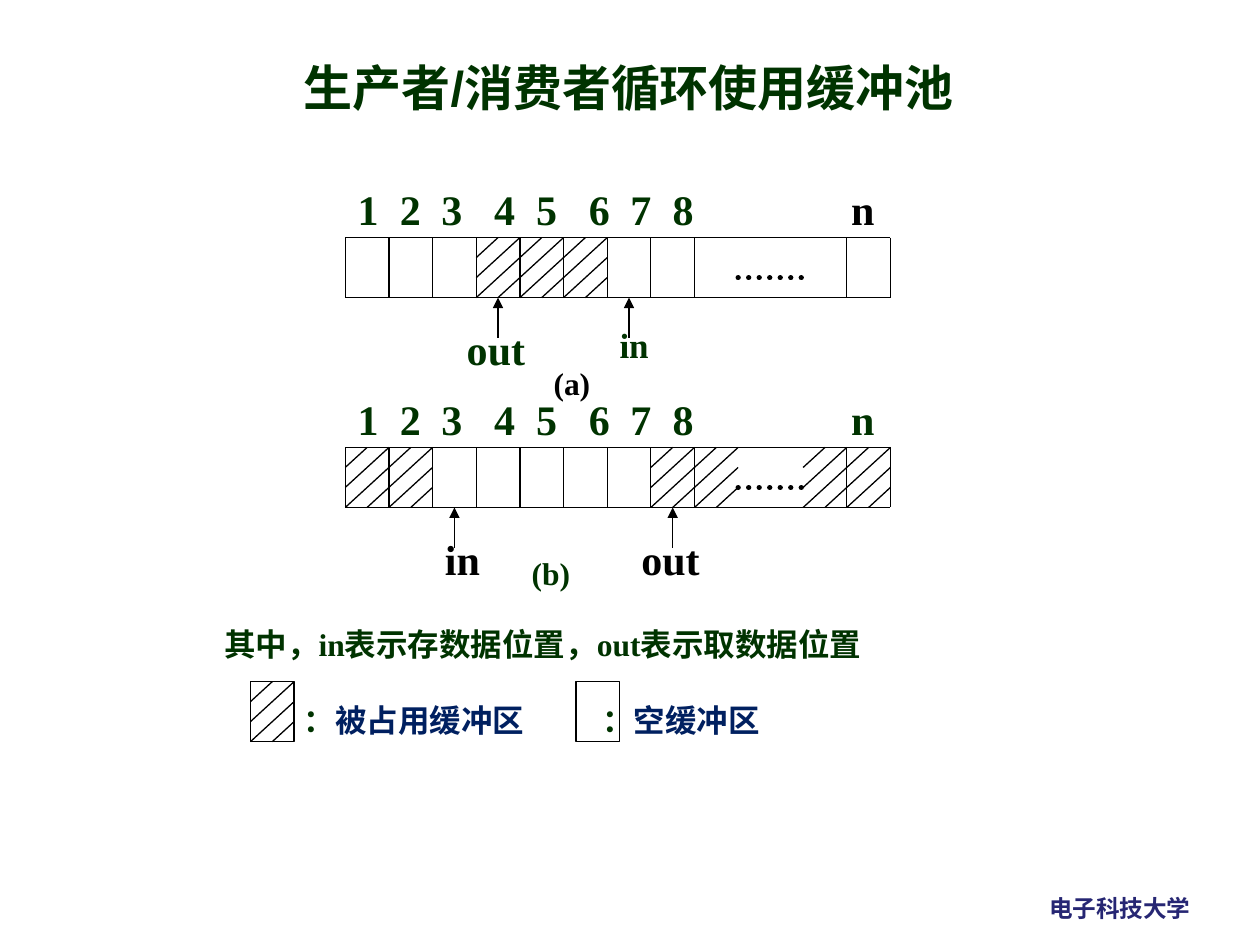
from typing import NamedTuple

import pptx
import pptx.dml.color
import pptx.enum.dml
import pptx.enum.shapes
import pptx.enum.text
import pptx.oxml.ns
import pptx.util
from lxml import etree

Cm, Pt = pptx.util.Cm, pptx.util.Pt
qn = pptx.oxml.ns.qn

GREEN, BLACK, NAVY = "003300", "000000", "002060"
ROMAN, SANS, HAN = "Times New Roman", "Arial", "Noto Sans CJK SC"
LEFT, WIDE, TALL = 6.96, 0.88, 1.21
LAST, DOTS = 17.07, 0.81
STOPS = (0.85, 1.69, 2.75, 3.6, 4.66, 5.5, 6.35, 9.95)


class Run(NamedTuple):
    text: str
    color: str = GREEN
    font: str = ROMAN


class Line(NamedTuple):
    runs: list[Run]
    tabs: tuple[float, ...] = ()
    gap: float = 0


class Mark(NamedTuple):
    text: str
    cell: int
    shift: float
    size: float
    color: str


class Row(NamedTuple):
    top: float
    full: list[float]
    marks: list[Mark]
    name: Run
    spot: tuple[float, float]
    tint: str


def paint(fmt, color: str) -> None:
    fmt.rgb = pptx.dml.color.RGBColor.from_string(color)


def text(slide, box: tuple, *lines: Line, size: float = 18,
         center: bool = False, wrap: bool = True) -> None:
    body = slide.shapes.add_textbox(*map(Cm, box)).text_frame
    body.word_wrap = wrap
    align = pptx.enum.text.PP_ALIGN
    for i, line in enumerate(lines):
        para = body.add_paragraph() if i else body.paragraphs[0]
        para.alignment = align.CENTER if center else align.LEFT
        if line.gap:
            para.space_before = Pt(line.gap)
        if line.tabs:
            tabs = etree.SubElement(para._p.get_or_add_pPr(), qn("a:tabLst"))
            for stop in line.tabs:
                etree.SubElement(tabs, qn("a:tab"), pos=str(Cm(stop)), algn="l")
        for part in line.runs:
            run = para.add_run()
            run.text = part.text
            run.font.size, run.font.bold, run.font.name = Pt(size), True, part.font
            paint(run.font.color, part.color)


def rule(slide, x1: float, y1: float, x2: float, y2: float,
         arrow: bool = False, dots: bool = False) -> None:
    kind = pptx.enum.shapes.MSO_CONNECTOR.STRAIGHT
    item = slide.shapes.add_connector(kind, Cm(x1), Cm(y1), Cm(x2), Cm(y2))
    paint(item.line.color, BLACK)
    item.line.width = Pt(3 if dots else 0.75)
    pen = item.line._get_or_add_ln()
    if dots:
        item.line.dash_style = pptx.enum.dml.MSO_LINE.ROUND_DOT
        pen.set("cap", "rnd")
    if arrow:
        etree.SubElement(pen, qn("a:tailEnd"), type="triangle")
    etree.SubElement(item._element.spPr, qn("a:effectLst"))


def hatch(slide, x: float, y: float) -> None:
    """Fill one cell with four slanted lines."""
    mid, end, step = x + WIDE / 2, x + WIDE, TALL / 3
    rule(slide, mid, y, x, y + step)
    rule(slide, end, y, x, y + 2 * step)
    rule(slide, end, y + step, x, y + TALL)
    rule(slide, end, y + 2 * step, mid, y + TALL)


def frame(slide, x: float, y: float) -> None:
    kind = pptx.enum.shapes.MSO_SHAPE.RECTANGLE
    item = slide.shapes.add_shape(kind, Cm(x), Cm(y), Cm(WIDE), Cm(TALL))
    item.shadow.inherit = False
    item.fill.background()
    paint(item.line.color, BLACK)
    item.line.width = Pt(0.75)


def edge(cell: int) -> float:
    """Left side of a cell, counted from 1."""
    return LEFT + (cell - 1) * WIDE


def draw(slide, row: Row) -> None:
    end, base, mid = LAST + WIDE, row.top + TALL, row.top + DOTS
    for y in (row.top, base):
        rule(slide, LEFT, y, end, y)
    for x in [*map(edge, range(1, 10)), LAST, end]:
        rule(slide, x, row.top, x, base)
    for x in row.full:
        hatch(slide, x, row.top)
    rule(slide, edge(10), mid, LAST - WIDE, mid, dots=True)
    nums = Run("1\t2\t3\t4\t5\t6\t7\t8\t")
    text(slide, (LEFT, row.top - 1.21, 11, 1.21),
         Line([nums, Run("n", row.tint)], STOPS), size=24)
    for mark in row.marks:
        x = edge(mark.cell) + WIDE / 2
        rule(slide, x, base + 0.81, x, base, arrow=True)
        text(slide, (x - mark.shift, base + 0.4, 1.76, 1.21),
             Line([Run(mark.text, mark.color)]), size=mark.size)
    x, drop = row.spot
    text(slide, (x, base + drop, 1.5, 1.21), Line([row.name]))


def main() -> None:
    deck = pptx.Presentation()
    deck.slide_width, deck.slide_height = Cm(25.4), Cm(19.05)
    slide = deck.slides.add_slide(deck.slide_layouts[6])
    text(slide, (20.9, 17.9, 3.4, 0.84),
         Line([Run("电子科技大学", "262673", HAN)]), size=13.5, wrap=False)

    rows = [
        Row(4.79, [edge(i) for i in (4, 5, 6)],
            [Mark("out", 4, 0.88, 24, GREEN), Mark("in", 7, 0.44, 20, GREEN)],
            Run("(a)", BLACK), (10.91, 1.22), BLACK),
        Row(9.02, [*map(edge, (1, 2, 8, 9)), LAST - WIDE, LAST],
            [Mark("in", 3, 0.44, 24, BLACK), Mark("out", 8, 0.88, 24, BLACK)],
            Run("(b)"), (10.47, 0.81), GREEN),
    ]
    for row in rows:
        draw(slide, row)

    text(slide, (3.99, 12.47, 16.31, 4.45),
         Line([Run("\t其中，in表示存数据位置，out表示取数据位置")], (0.28,)),
         Line([Run("\t："), Run("被占用", NAVY), Run("缓冲区", NAVY, SANS),
               Run("\t："), Run("空", NAVY), Run("缓冲区", NAVY, SANS)],
              (1.88, 7.9), gap=22))
    for x in (5.05, 11.61):
        frame(slide, x, 13.74)
    hatch(slide, 5.05, 13.74)
    text(slide, (5.18, 1.04, 14.99, 1.45),
         Line([Run("生产者/消费者循环使用缓冲池", GREEN, SANS)]), size=28, center=True)
    deck.save("out.pptx")


if __name__ == "__main__":
    main()
